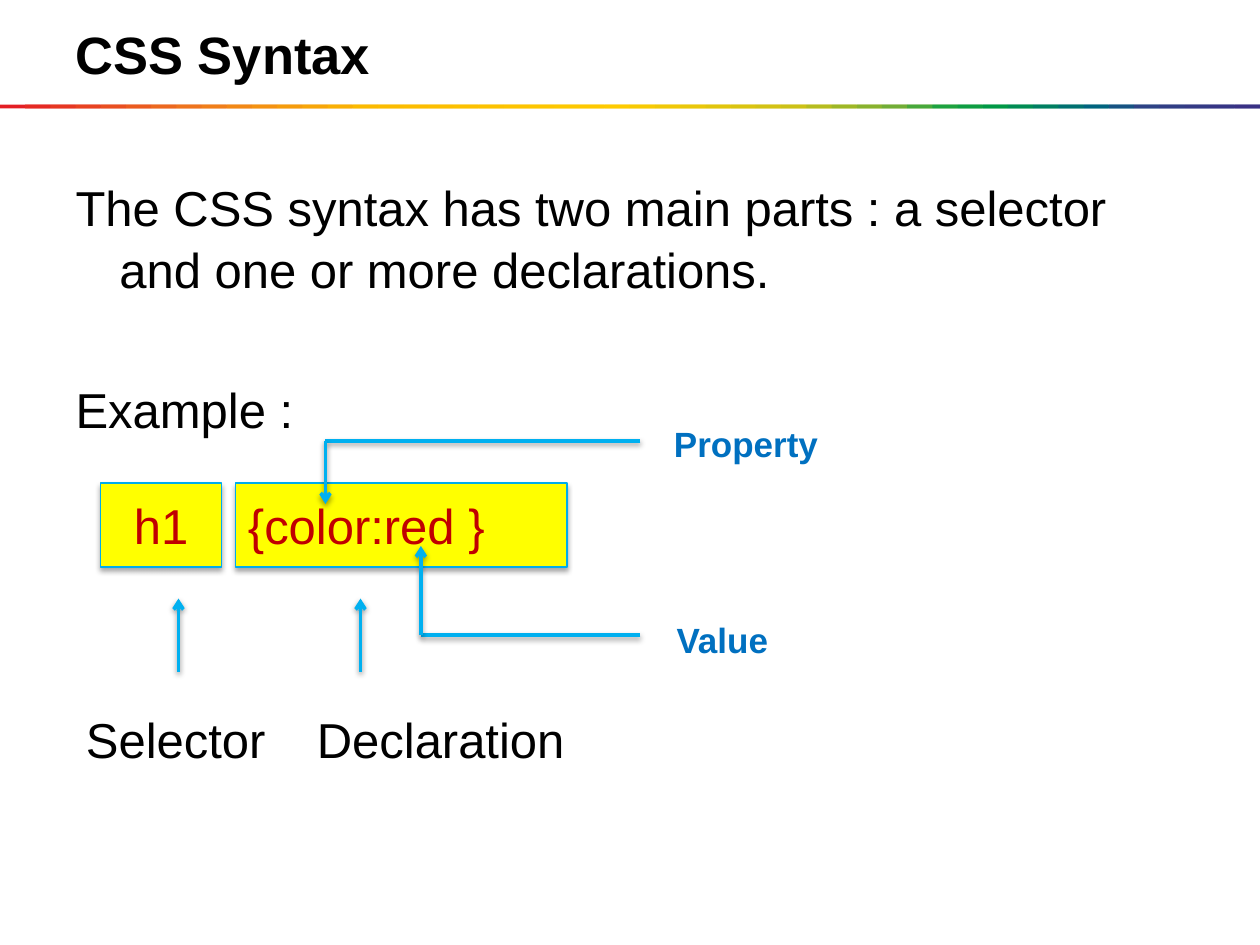
import pptx
import pptx.util
import pptx.dml.color
import pptx.enum.shapes
import pptx.enum.text
import pptx.oxml
import pptx.oxml.ns

Pt = pptx.util.Pt
RGB = pptx.dml.color.RGBColor
RECT = pptx.enum.shapes.MSO_SHAPE.RECTANGLE
LINE = pptx.enum.shapes.MSO_CONNECTOR.STRAIGHT
ALIGN = pptx.enum.text.PP_ALIGN
MID = pptx.enum.text.MSO_ANCHOR.MIDDLE
TOP = pptx.enum.text.MSO_ANCHOR.TOP
FIT = pptx.enum.text.MSO_AUTO_SIZE

BLACK = RGB(0x00, 0x00, 0x00)
RED = RGB(0xC0, 0x00, 0x00)
BLUE = RGB(0x00, 0x70, 0xC0)
SKY = RGB(0x00, 0xB0, 0xF0)
EDGE = RGB(0x00, 0xAC, 0xEB)
YELLOW = RGB(0xFF, 0xFF, 0x00)
STOPS = [
    (0, RGB(0xE3, 0x1E, 0x24)),
    (7, RGB(0xEE, 0x74, 0x1D)),
    (14, RGB(0xFB, 0xBA, 0x00)),
    (24, RGB(0xFE, 0xCB, 0x00)),
    (31, RGB(0xCC, 0xC1, 0x17)),
    (35, RGB(0x71, 0xAD, 0x36)),
    (37, RGB(0x1D, 0xA2, 0x40)),
    (39, RGB(0x00, 0x98, 0x46)),
    (43, RGB(0x00, 0x63, 0x7F)),
    (45, RGB(0x2E, 0x42, 0x85)),
    (49, RGB(0x39, 0x31, 0x85)),
]


def place(shape, box):
    shape.left, shape.top, shape.width, shape.height = map(Pt, box)


def write(para, text, size=28, color=BLACK, bold=False, align=ALIGN.LEFT):
    para.alignment = align
    run = para.add_run()
    run.text = text
    font = run.font
    font.name, font.size, font.bold = "Arial", Pt(size), bold
    font.color.rgb = color


def shade(shape, alpha, drop):
    props = shape._element.spPr
    props.append(pptx.oxml.parse_xml(
        f'<a:effectLst {pptx.oxml.ns.nsdecls("a")}>'
        f'<a:outerShdw blurRad="{Pt(3.1)}" dist="{Pt(drop)}" dir="5400000" '
        f'rotWithShape="0"><a:srgbClr val="{BLACK}">'
        f'<a:alpha val="{alpha * 1000}"/></a:srgbClr></a:outerShdw>'
        '</a:effectLst>'))


def label(slide, box, text, **style):
    note = slide.shapes.add_textbox(*map(Pt, box))
    frame = note.text_frame
    frame.word_wrap = True
    frame.auto_size = FIT.SHAPE_TO_FIT_TEXT
    write(frame.paragraphs[0], text, **style)


def code(slide, box, text, align):
    tile = slide.shapes.add_shape(RECT, *map(Pt, box))
    tile.fill.solid()
    tile.fill.fore_color.rgb = YELLOW
    tile.line.color.rgb = EDGE
    tile.line.width = Pt(0.75)
    shade(tile, 35, 1.8)
    tile.text_frame.vertical_anchor = MID
    write(tile.text_frame.paragraphs[0], text, color=RED, align=align)


def link(slide, start, end, arrow=False):
    line = slide.shapes.add_connector(LINE, *map(Pt, start + end))
    line.line.color.rgb = SKY
    line.line.width = Pt(2)
    if arrow:
        line.line._get_or_add_ln().append(pptx.oxml.parse_xml(
            f'<a:tailEnd {pptx.oxml.ns.nsdecls("a")} type="arrow"/>'))
    shade(line, 38, 1.6)


def blend(index):
    for (low, first), (high, last) in zip(STOPS, STOPS[1:]):
        if index <= high:
            part = (index - low) / (high - low)
            return RGB(*(round(a + (b - a) * part)
                         for a, b in zip(first, last)))


def band(slide, box):
    left, top, width, height = box
    count = STOPS[-1][0] + 1
    step = width / count
    group = slide.shapes.add_group_shape()
    for index in range(count):
        span = step * min(2, count - index)
        bar = group.shapes.add_shape(
            RECT, Pt(left + index * step), Pt(top), Pt(span), Pt(height))
        bar.shadow.inherit = False
        bar.fill.solid()
        bar.fill.fore_color.rgb = blend(index)
        bar.line.fill.background()


def head(slide, box):
    title = slide.shapes.title
    place(title, box)
    title.text_frame.vertical_anchor = MID
    write(title.text_frame.paragraphs[0], "CSS Syntax", size=30, bold=True)


def body(slide, box):
    holder = slide.placeholders[1]
    place(holder, box)
    frame = holder.text_frame
    frame.auto_size = FIT.NONE
    frame.vertical_anchor = TOP
    items = [
        ("The CSS syntax has two main parts : a selector"
         " and one or more declarations.", 0),
        ("Example :", 45),
    ]
    for index, (text, gap) in enumerate(items):
        para = frame.add_paragraph() if index else frame.paragraphs[0]
        write(para, text)
        para.space_before = Pt(gap)
        para.line_spacing = 1.05
        props = para._p.get_or_add_pPr()
        props.set("marL", str(Pt(25)))
        props.set("indent", str(-Pt(25)))
        props.append(pptx.oxml.parse_xml(
            f'<a:buNone {pptx.oxml.ns.nsdecls("a")}/>'))


def rule(slide, box):
    left, top, width, height = box
    base = top + 146.4
    code(slide, (left + 15.6, top + 38.4, 69, 48), "h1", ALIGN.CENTER)
    code(slide, (left + 92.6, top + 38.4, 189.5, 48), "{color:red }",
         ALIGN.LEFT)
    label(slide, (left, top + 164.4, 132, 41), "Selector")
    label(slide, (left + 132, top + 164.4, 174, 41), "Declaration")
    for mid in (60, 164):
        link(slide, (left + mid, base), (left + mid, base - 42), True)
    parts = [
        ("Property", 144, 14.4, 50.4, 336, 0),
        ("Value", 198.5, 125.4, 74.4, 337.5, 112.4),
    ]
    for text, across, level, tip, side, rise in parts:
        bend = (left + across, top + level)
        link(slide, (left + 324, top + level), bend)
        link(slide, bend, (left + across, top + tip), True)
        label(slide, (left + side, top + rise, 131, 31.5), text,
              size=20, color=BLUE, bold=True)


def main():
    deck = pptx.Presentation()
    deck.slide_width, deck.slide_height = Pt(720), Pt(540)
    slide = deck.slides.add_slide(deck.slide_layouts[1])
    band(slide, (0, 59.8, 720, 2.2))
    head(slide, (36, 8.6, 648, 44))
    body(slide, (36, 96, 606, 390))
    rule(slide, (42, 237.6, 467, 205.4))
    deck.save("out.pptx")


if __name__ == "__main__":
    main()
